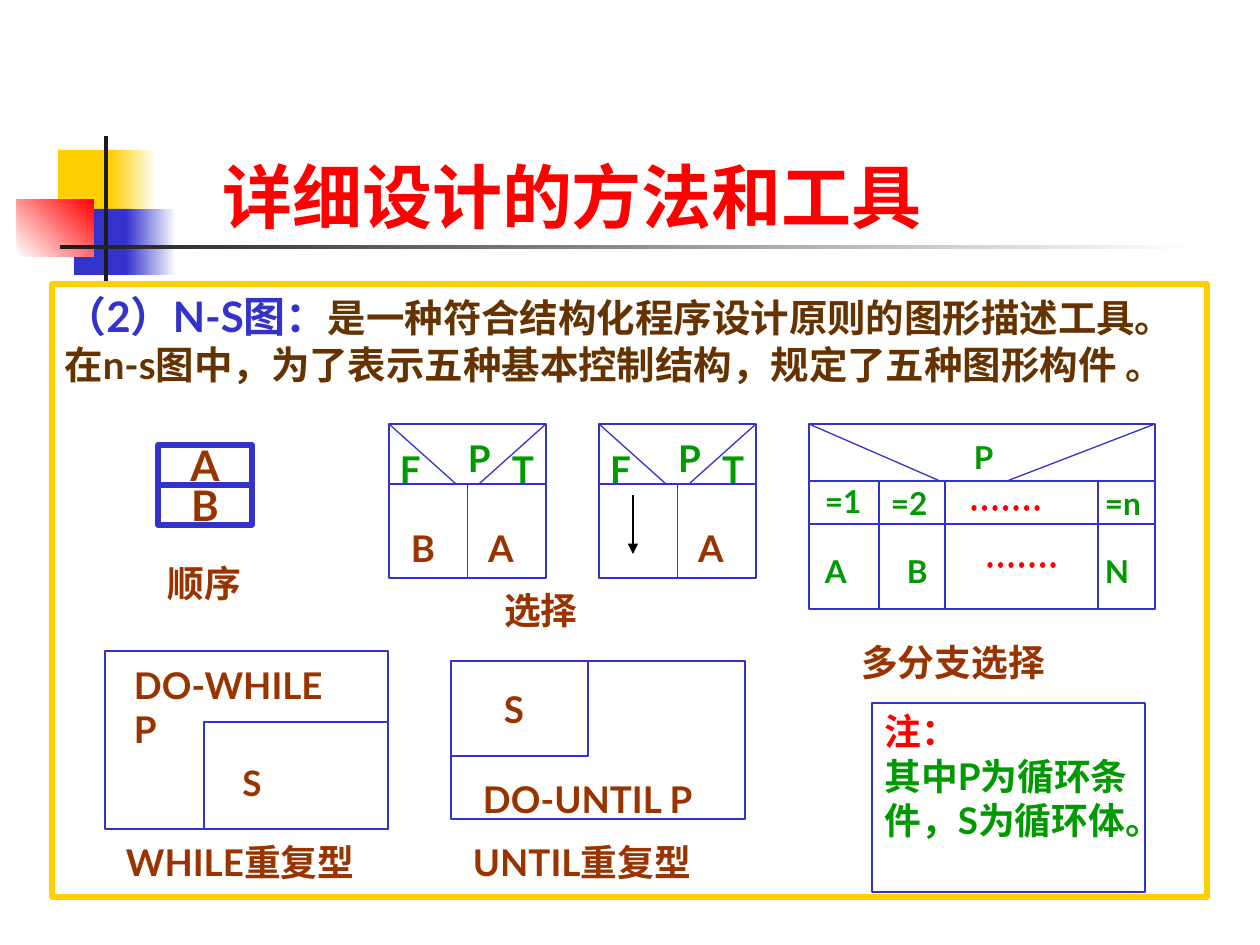
from lxml.etree import SubElement
from pptx import Presentation
from pptx.dml.color import RGBColor
from pptx.enum.dml import MSO_LINE
from pptx.enum.shapes import MSO_CONNECTOR, MSO_SHAPE
from pptx.enum.text import MSO_ANCHOR, PP_ALIGN
from pptx.oxml.ns import qn
from pptx.util import Pt

PX = 914400 / 126
BLUE, GOLD, RED, GREEN = "3333CC", "FFCF01", "FF0000", "009900"
BROWN, DARK, INK, WHITE = "993300", "663300", "1C1C1C", "FFFFFF"
FLUSH = dict.fromkeys(
    ("margin_left", "margin_top", "margin_right", "margin_bottom"), 0)


def emu(*nums):
    return [round(n * PX) for n in nums]


def paint(form, color):
    """Give a font, fill or colour stop its solid colour."""
    form.color.rgb = RGBColor.from_string(color)


def put(item, values):
    for name, value in values.items():
        setattr(item, name, value)


def block(shapes, area, line=None, width=0.75, fill=None, angle=0):
    """Add a rectangle; fill is one colour or a pair for a gradient."""
    shape = shapes.add_shape(MSO_SHAPE.RECTANGLE, *emu(*area))
    shape.shadow.inherit = False
    if isinstance(fill, tuple):
        shape.fill.gradient()
        shape.fill.gradient_angle = angle
        for stop, color in zip(shape.fill.gradient_stops, fill):
            paint(stop, color)
    elif fill:
        shape.fill.solid()
        shape.fill.fore_color.rgb = RGBColor.from_string(fill)
    else:
        shape.fill.background()
    if line:
        paint(shape.line, line)
        shape.line.width = Pt(width)
    else:
        shape.line.fill.background()
    return shape


def write(shape, paras, **frame):
    """Fill a shape with paragraphs of (text, size, colour) runs."""
    text = shape.text_frame
    put(text, {"word_wrap": True, "vertical_anchor": MSO_ANCHOR.TOP, **frame})
    centre = text.vertical_anchor == MSO_ANCHOR.MIDDLE and not text.word_wrap
    for i, runs in enumerate(paras):
        para = text.add_paragraph() if i else text.paragraphs[0]
        para.alignment = PP_ALIGN.CENTER if centre else PP_ALIGN.LEFT
        for words, size, color in runs:
            run = para.add_run()
            run.text = words
            put(run.font, {"name": "Lato", "size": Pt(size), "bold": True})
            paint(run.font, color)


def label(shapes, area, words, size=21, color=BROWN, **frame):
    box = shapes.add_textbox(*emu(*area))
    write(box, [[(words, size, color)]], **(frame or FLUSH))


def letter(shapes, area, words, size=21):
    """Add a letter centred on its area."""
    label(shapes, area, words, size,
          vertical_anchor=MSO_ANCHOR.MIDDLE, word_wrap=False)


def rule(shapes, x, y, ends, color=BLUE, width=0.75):
    """Add a line; ends are x1, y1, x2, y2 from the corner x, y."""
    x1, y1, x2, y2 = ends
    line = shapes.add_connector(
        MSO_CONNECTOR.STRAIGHT, *emu(x + x1, y + y1, x + x2, y + y2))
    paint(line.line, color)
    line.line.width = Pt(width)
    SubElement(line.element.spPr, qn("a:effectLst"))
    return line


def stroke(line):
    return line.element.spPr.find(qn("a:ln"))


def emblem(shapes, x, y):
    for area, fill, angle in (
        ((41, 14, 60, 66), GOLD, 0),
        ((94, 14, 45, 66), (GOLD, WHITE), 0),
        ((57, 73, 58, 66), BLUE, 0),
        ((109, 73, 50, 66), (BLUE, WHITE), 0),
        ((0, 63, 77, 58), (WHITE, RED), 45),
        ((87, 0, 4, 145), INK, 0),
        ((43, 109, 1134, 4), (INK, WHITE), 0),
    ):
        left, top, wide, high = area
        block(shapes, (x + left, y + top, wide, high), fill=fill, angle=angle)


def order(shapes, x, y, wide, high):
    """Draw the sequence figure."""
    for i, name in enumerate("AB"):
        cell = block(shapes, (x, y + i * high // 2, wide, high // 2), BLUE, 3)
        write(cell, [[(name, 24, BROWN)]],
              vertical_anchor=MSO_ANCHOR.MIDDLE, word_wrap=False)


def choice(shapes, x, y, wide, high, other=None):
    """Draw a two-way choice; without other, its false side is an arrow."""
    head, slant = 60, 67
    frame = block(shapes, (x, y, wide, high), BLUE)
    for ends in ((0, head, wide, head), (0, 0, slant, head),
                 (wide, 0, wide - slant, head)):
        rule(shapes, x, y, ends)
    split = rule(shapes, x, y, (wide / 2, head, wide / 2, high))
    split.end_connect(frame, 2)
    for name, left, top in (("P", 79, 12), ("F", 11, 23), ("T", 123, 23)):
        label(shapes, (x + left, y + top, 34, 44), name, color=GREEN)
    letter(shapes, (x + 67, y + 106, 90, 35), "A")
    if other:
        letter(shapes, (x - 11, y + 106, 90, 35), other)
    else:
        arrow = rule(shapes, x, y, (34, 71, 34, 130), "000000")
        SubElement(stroke(arrow), qn("a:tailEnd"), type="triangle")


def switch(shapes, x, y, wide, high):
    """Draw the choice of many branches."""
    head, row = 57, 100
    block(shapes, (x, y, wide, high), BLUE)
    for ends in ((0, head, wide, head), (0, row, wide, row),
                 (0, 0, 131, head), (wide, 0, 198, head)):
        rule(shapes, x, y, ends)
    for col in (70, 136, 289):
        rule(shapes, x, y, (col, head, col, high))
    for left, top in ((165, 84), (181, 141)):
        dots = rule(shapes, x, y, (left, top, left + 66, top), RED, 3)
        dots.line.dash_style = MSO_LINE.ROUND_DOT
        stroke(dots).set("cap", "rnd")
    label(shapes, (x + 165, y + 14, 49, 38), "P", 18, GREEN)
    for name, left, top in (("=1", 16, 58), ("=2", 82, 60), ("=n", 296, 60),
                            ("A", 16, 128), ("B", 98, 128), ("N", 296, 128)):
        label(shapes, (x + left, y + top, 49, 38), name, 18, GREEN,
              vertical_anchor=MSO_ANCHOR.MIDDLE, **FLUSH)


def loop(shapes, x, y, wide, high, body, test, spot, core, size):
    """Draw a loop: its body box, its test at spot and its S at core."""
    block(shapes, (x, y, wide, high), BLUE)
    for area, kind in ((body, None), (spot, label), (core, letter)):
        left, top, *dims = area
        place = (x + left, y + top, *dims)
        if kind is None:
            block(shapes, place, BLUE)
        elif kind is label:
            label(shapes, place, test)
        else:
            letter(shapes, place, "S", size)


def intro(shapes, area):
    write(block(shapes, area, GOLD, 3), [[
        ("（2）N-S图：", 24, BLUE),
        ("是一种符合结构化程序设计原则的图形描述工具。在n-s图中，"
         "为了表示五种基本控制结构，规定了五种图形构件 。", 22, DARK)]])


def note(shapes, area):
    write(block(shapes, area, BLUE), [
        [("注：", 21, RED)], [("其中P为循环条件，S为循环体。", 21, GREEN)]])


def main():
    deck = Presentation()
    deck.slide_width, deck.slide_height = emu(1260, 945)
    shapes = deck.slides.add_slide(deck.slide_layouts[6]).shapes

    def group():
        return shapes.add_group_shape().shapes

    emblem(shapes, 17, 136)
    intro(shapes, (52, 284, 1155, 613))
    label(shapes, (210, 147, 892, 97), "详细设计的方法和工具", 40, RED,
          word_wrap=True)
    order(group(), 158, 445, 94, 80)
    choice(group(), 389, 424, 157, 154, "B")
    choice(group(), 599, 424, 157, 154)
    switch(group(), 809, 424, 346, 185)
    loop(group(), 105, 651, 283, 178, (99, 71, 184, 107),
         "DO-WHILE P", (29, 12, 200, 88), (105, 115, 84, 32), 20)
    loop(group(), 451, 661, 294, 158, (0, 0, 137, 95),
         "DO-UNTIL P", (32, 116, 252, 44), (21, 32, 84, 32), 21)
    note(shapes, (872, 703, 273, 189))
    for words, left, top, wide in (
        ("顺序", 168, 561, 136), ("选择", 504, 588, 147),
        ("多分支选择", 861, 640, 220), ("WHILE重复型", 126, 840, 262),
        ("UNTIL重复型", 473, 840, 242),
    ):
        label(shapes, (left, top, wide, 44), words)
    deck.save("out.pptx")


if __name__ == "__main__":
    main()
